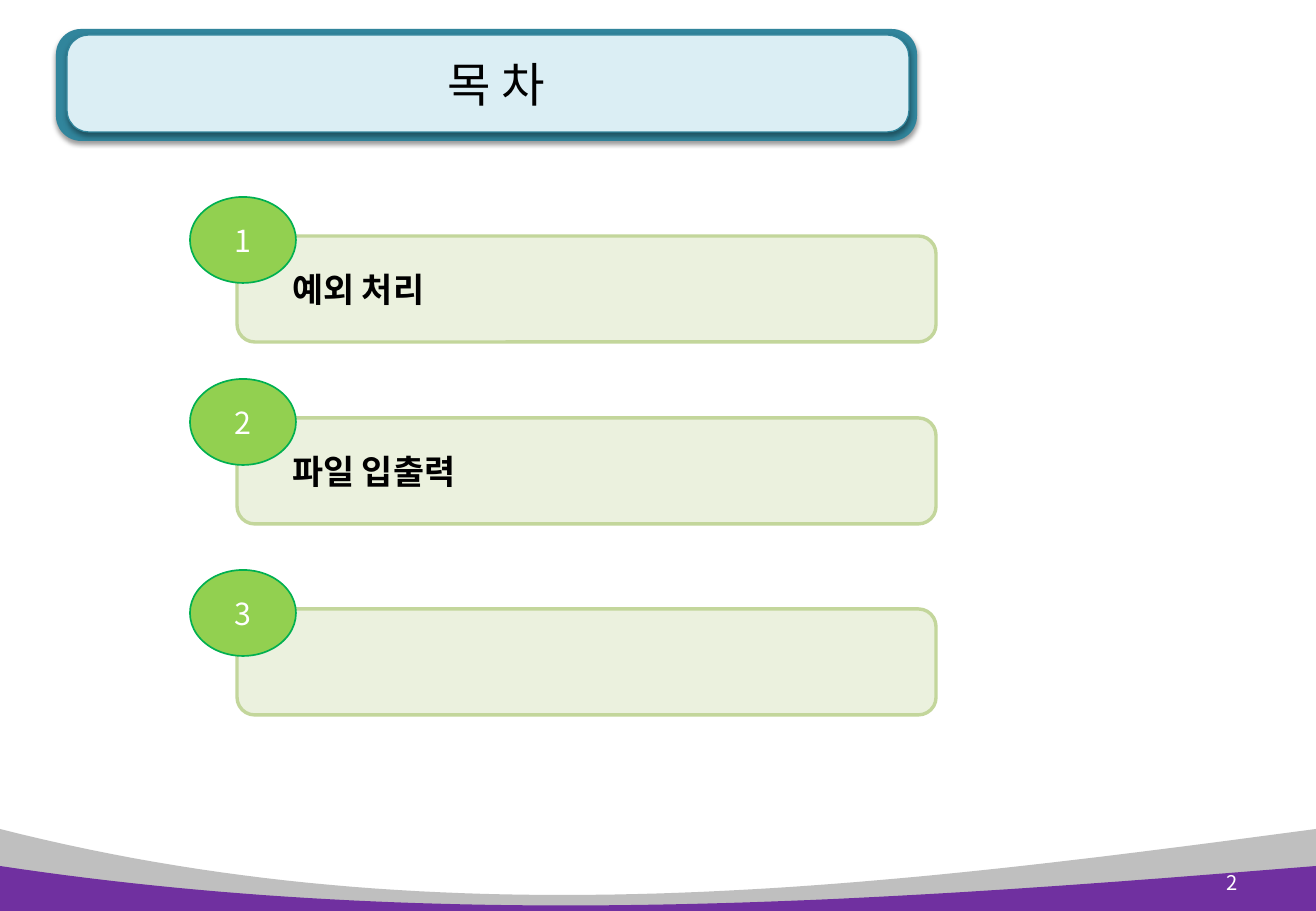
from dataclasses import dataclass
from lxml.etree import SubElement
from pptx import Presentation
from pptx.dml.color import RGBColor as Rgb
from pptx.enum.shapes import MSO_SHAPE as Kind
from pptx.enum.text import MSO_ANCHOR as Anchor, PP_ALIGN as Align
from pptx.oxml.ns import qn
from pptx.util import Emu, Pt

SCALE = 914400 / 121.5
WIDE, HIGH = 1316, 911


@dataclass(frozen=True)
class Theme:
    font: str = "Noto Sans CJK KR"
    ink: str = "000000"
    white: str = "FFFFFF"
    teal: str = "31859C"
    pale: str = "DBEEF4"
    card: str = "EBF1DE"
    edge: str = "C3D69B"
    badge: str = "92D050"
    rim: str = "00B050"
    gray: str = "BFBFBF"
    purple: str = "7030A0"
    title: int = 28
    item: int = 20
    digit: int = 18
    page: int = 12


LOOK = Theme()


def px(size):
    return Emu(round(size * SCALE))


def paint(shape, fill, line=None, weight=0):
    shape.shadow.inherit = False
    shape.fill.solid()
    shape.fill.fore_color.rgb = Rgb.from_string(fill)
    if line:
        shape.line.color.rgb = Rgb.from_string(line)
        shape.line.width = Pt(weight)
    else:
        shape.line.fill.background()


def block(slide, kind, box, fill, line=None, weight=0):
    shape = slide.shapes.add_shape(kind, *map(px, box))
    paint(shape, fill, line, weight)
    return shape


def shade(shape):
    effects = shape.element.spPr.find(qn("a:effectLst"))
    shadow = SubElement(effects, qn("a:outerShdw"), blurRad=str(Pt(3.1)),
                        dist=str(Pt(1.6)), dir="5400000", rotWithShape="0")
    color = SubElement(shadow, qn("a:srgbClr"), val=LOOK.ink)
    SubElement(color, qn("a:alpha"), val="38000")


def write(shape, text, size, color, align, bold=False):
    frame = shape.text_frame
    frame.word_wrap = True
    frame.vertical_anchor = Anchor.MIDDLE
    para = frame.paragraphs[0]
    para.alignment = align
    run = para.add_run()
    run.text = text
    font = run.font
    font.name, font.size, font.bold = LOOK.font, Pt(size), bold
    font.color.rgb = Rgb.from_string(color)
    SubElement(run._r.rPr, qn("a:ea"), typeface=LOOK.font)


def label(slide, box, *style):
    write(slide.shapes.add_textbox(*map(px, box)), *style)


def wave(slide, box, dips, fill, steps=60):
    left, top, width, height = box
    knots = [(0, 0), (443, dips[0]), (875, dips[1]), (width, 0)]
    points = []
    for step in range(steps + 1):
        t = step / steps
        parts = ((1 - t) ** 3, 3 * t * (1 - t) ** 2, 3 * t * t * (1 - t), t ** 3)
        x, y = (sum(p * k[axis] for p, k in zip(parts, knots)) for axis in (0, 1))
        points.append((px(left + x), px(top + y)))
    points += [(px(left + width), px(top + height)), (px(left), px(top + height))]
    pen = slide.shapes.build_freeform(*points[0])
    pen.add_line_segments(points[1:], close=True)
    paint(pen.convert_to_shape(), fill)


def banner(slide, box, text):
    left, top, width, height = box
    inner = (left + 11, top + 6, width - 19, height - 15)
    frame = block(slide, Kind.ROUNDED_RECTANGLE, box, LOOK.teal)
    panel = block(slide, Kind.ROUNDED_RECTANGLE, inner, LOOK.pale, LOOK.teal, 0.75)
    for shape in (frame, panel):
        shape.adjustments[0] = 0.225
        shade(shape)
    label(slide, (left + 28, top - 2, width - 37, height + 2),
          text, LOOK.title, LOOK.ink, Align.CENTER)


def entry(slide, box, digit, text):
    left, top, width, height = box
    card = block(slide, Kind.ROUNDED_RECTANGLE,
                 (left + 47, top + 39, width - 47, height - 39),
                 LOOK.card, LOOK.edge, 2)
    if text:
        card.text_frame.margin_left = px(50)
        write(card, text, LOOK.item, LOOK.ink, Align.LEFT, True)
    badge = block(slide, Kind.OVAL, (left, top, 106, 86), LOOK.badge, LOOK.rim, 1)
    write(badge, str(digit), LOOK.digit, LOOK.white, Align.CENTER)


def footer(slide, box, page):
    left, top, width, height = box
    wave(slide, box, (113, 59), LOOK.gray)
    wave(slide, (left, top + 37, width, height - 37), (67, 36), LOOK.purple)
    label(slide, (left + width - 140, top + 29, 74, 49),
          page, LOOK.page, LOOK.white, Align.RIGHT)


def main():
    deck = Presentation()
    deck.slide_width, deck.slide_height = px(WIDE), px(HIGH)
    slide = deck.slides.add_slide(deck.slide_layouts[6])
    footer(slide, (0, 829, WIDE, HIGH - 829), "2")
    banner(slide, (56, 29, 861, 112), "목 차")
    items = ((197, "예외 처리"), (379, "파일 입출력"), (570, ""))
    for digit, (top, text) in enumerate(items, 1):
        entry(slide, (190, top, 746, 145), digit, text)
    deck.save("out.pptx")


main()
